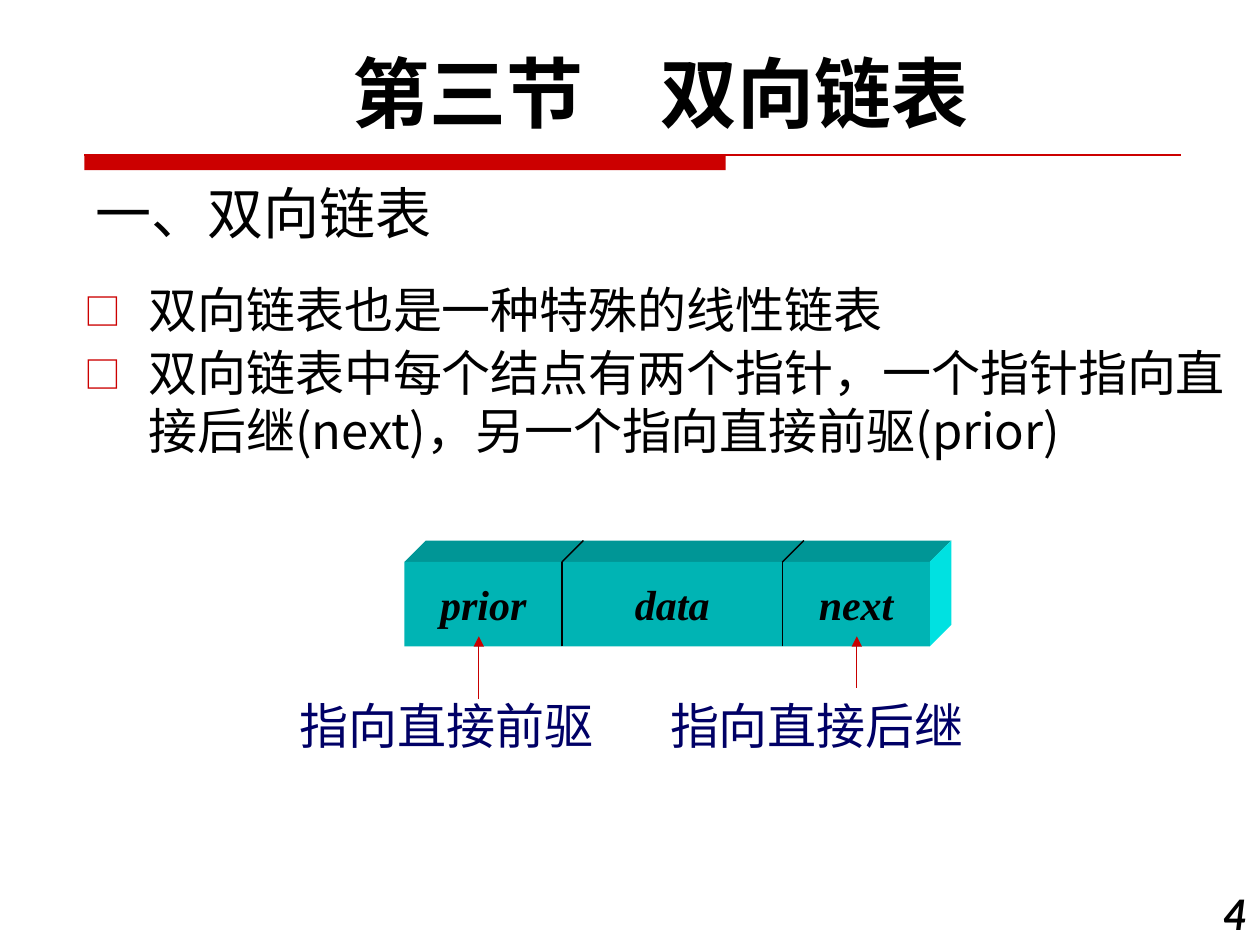
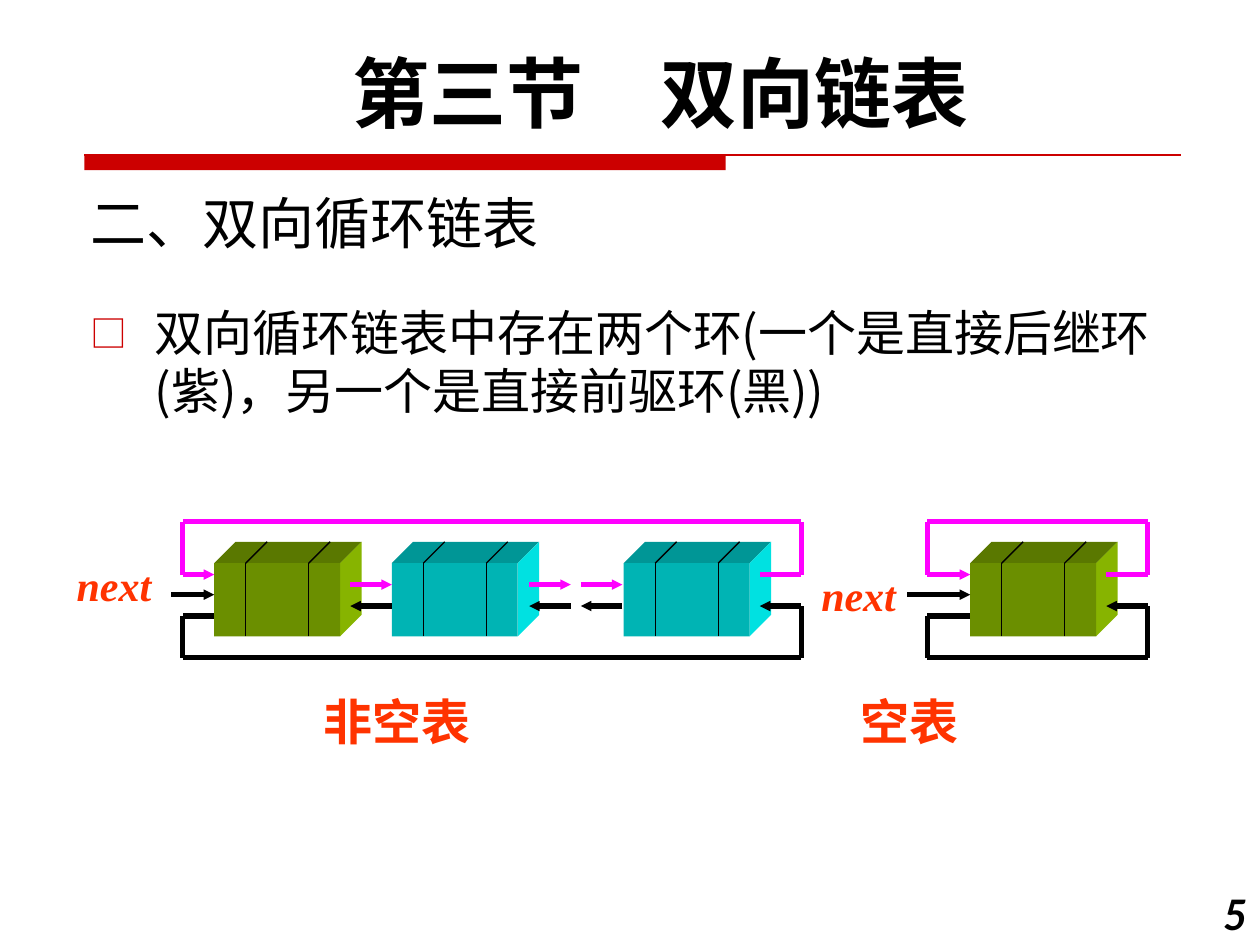
from itertools import pairwise

from pptx import Presentation
from pptx.dml.color import RGBColor
from pptx.enum.shapes import MSO_CONNECTOR as CONNECTOR, MSO_SHAPE as SHAPE
from pptx.enum.text import MSO_ANCHOR as ANCHOR, MSO_AUTO_SIZE as AUTO_SIZE, PP_ALIGN as ALIGN
from pptx.oxml.ns import qn
from pptx.util import Inches, Pt
from lxml.etree import SubElement

CHAPTER = "第三节　双向链表"
RED, BLACK, NAVY, ORANGE = "CC0000", "000000", "000066", "FF3300"
MAGENTA, ARROW_RED = "FF00FF", "C80000"
TEAL = {"front": "00B4B4", "top": "009696", "side": "00E1E1"}
GREEN = {"front": "6B8F00", "top": "5A7800", "side": "87B400"}
DEPTH = 0.17

SANS, SERIF, LATIN = "Noto Sans CJK SC", "Times New Roman", "Lato"
STYLES = {
    "chapter": {"name": LATIN, "size": 44, "bold": True, "color": BLACK},
    "section": {"name": SANS, "size": 32, "color": BLACK, "leading": 38},
    "body": {"name": SANS, "size": 28, "color": BLACK, "leading": 33},
    "page": {"name": LATIN, "size": 24, "bold": True, "italic": True, "color": BLACK},
    "field": {"name": SERIF, "size": 24, "bold": True, "italic": True, "color": BLACK},
    "pointer": {"name": SERIF, "size": 24, "bold": True, "italic": True, "color": ORANGE},
    "label": {"name": SANS, "size": 28, "color": NAVY, "leading": 33},
    "caption": {"name": SANS, "size": 28, "bold": True, "color": ORANGE, "leading": 33},
}

SLIDES = [
    {"section": "一、双向链表", "section_at": (0.66, 1.25, 6.25, 0.75),
     "body_at": (0.57, 2.18, 9.43, 1.6), "page": "4",
     "body": ["双向链表也是一种特殊的线性链表",
              "双向链表中每个结点有两个指针\uff0c一个指针指向直接后继(next)\uff0c"
              "另一个指向直接前驱(prior)"]},
    {"section": "二、双向循环链表", "section_at": (0.62, 1.33, 6.25, 0.75),
     "body_at": (0.62, 2.36, 9.38, 1.17), "page": "5",
     "body": ["双向循环链表中存在两个环(一个是直接后继环(紫)\uff0c另一个是直接前驱环(黑))"]},
]

FIELDS = [("prior", 1.25), ("data", 1.75), ("next", 1.17)]
POINTERS = [("指向直接前驱", 2.28, 3.8, 5.55), ("指向直接后继", 5.22, 6.8, 5.46)]
LISTS = [
    {"caption": "非空表", "caption_left": 2.47, "pointer_at": (0.51, 4.39), "entry": 1.36,
     "ring": (1.45, 6.36), "nodes": [(1.7, GREEN), (3.11, TEAL), (4.95, TEAL)],
     "links": [2.78, 4.2, 4.61]},
    {"caption": "空表", "caption_left": 6.73, "pointer_at": (6.42, 4.47), "entry": 7.2,
     "ring": (7.36, 9.11), "nodes": [(7.7, GREEN)], "links": []},
]


def rgb(value):
    return RGBColor.from_string(value)


def write(frame, lines, style, align=ALIGN.LEFT, bullets=False, wrap=True, anchor=ANCHOR.TOP):
    frame.word_wrap = wrap
    frame.auto_size = AUTO_SIZE.NONE
    frame.vertical_anchor = anchor
    values = STYLES[style]
    for index, line in enumerate(lines):
        paragraph = frame.paragraphs[0] if index == 0 else frame.add_paragraph()
        paragraph.alignment = align
        if "leading" in values:
            paragraph.line_spacing = Pt(values["leading"])
        if bullets:
            paragraph.space_before = Pt(3)
            add_bullet(paragraph)
        run = paragraph.add_run()
        run.text = line
        for key in ("name", "bold", "italic"):
            setattr(run.font, key, values.get(key, False))
        run.font.size = Pt(values["size"])
        run.font.color.rgb = rgb(values["color"])
        SubElement(run.font._element, qn("a:ea"), typeface=values["name"])


def add_bullet(paragraph):
    properties = paragraph._p.get_or_add_pPr()
    properties.set("marL", str(Inches(0.51)))
    properties.set("indent", str(-Inches(0.51)))
    color = SubElement(properties, qn("a:buClr"))
    SubElement(color, qn("a:srgbClr"), val=RED)
    SubElement(properties, qn("a:buSzPct"), val="75000")
    SubElement(properties, qn("a:buFont"), typeface=SANS)
    SubElement(properties, qn("a:buChar"), char="□")


def add_text(slide, box, lines, style, **options):
    shape = slide.shapes.add_textbox(*map(Inches, box))
    write(shape.text_frame, lines, style, **options)


def paint(shape, color):
    shape.shadow.inherit = False
    shape.fill.solid()
    shape.fill.fore_color.rgb = rgb(color)
    shape.line.fill.background()


def add_rectangle(slide, box, color):
    paint(slide.shapes.add_shape(SHAPE.RECTANGLE, *map(Inches, box)), color)


def add_polygon(slide, points, color):
    corners = [(Inches(x), Inches(y)) for x, y in points]
    builder = slide.shapes.build_freeform(*corners[0])
    builder.add_line_segments(corners[1:], close=True)
    paint(builder.convert_to_shape(), color)


def add_route(slide, points, color=BLACK, width=0.75, arrow=None):
    for start, end in pairwise(points):
        line = slide.shapes.add_connector(CONNECTOR.STRAIGHT, *map(Inches, start + end))
        line.line.color.rgb = rgb(color)
        line.line.width = Pt(width)
        if arrow and end == points[-1]:
            SubElement(line.line._get_or_add_ln(), qn("a:tailEnd"),
                       type="triangle", w=arrow, len=arrow)
        SubElement(line._element.spPr, qn("a:effectLst"))


def add_block(slide, left, top, width, height, dividers, colors):
    right, bottom = left + width, top + height
    back_top, back_right = top - DEPTH, right + DEPTH
    add_polygon(slide, [(left, top), (left + DEPTH, back_top), (back_right, back_top),
                        (right, top)], colors["top"])
    add_polygon(slide, [(right, top), (back_right, back_top), (back_right, bottom - DEPTH),
                        (right, bottom)], colors["side"])
    add_rectangle(slide, (left, top, width, height), colors["front"])
    for x in dividers:
        add_route(slide, [(x, bottom), (x, top), (x + DEPTH, back_top)])


def add_base(presentation, content):
    slide = presentation.slides.add_slide(presentation.slide_layouts[5])
    add_rectangle(slide, (0.67, 1.23, 5.09, 0.12), RED)
    add_route(slide, [(0.67, 1.23), (9.37, 1.23)], RED)
    title = slide.shapes.title
    title.left, title.top, title.width, title.height = map(Inches, content["section_at"])
    write(title.text_frame, [content["section"]], "section", anchor=ANCHOR.BOTTOM)
    add_text(slide, (0.62, 0.31, 9.25, 0.84), [CHAPTER], "chapter", align=ALIGN.CENTER)
    add_text(slide, content["body_at"], content["body"], "body", bullets=True)
    add_text(slide, (9.33, 7, 0.67, 0.5), [content["page"]], "page", align=ALIGN.RIGHT)
    return slide


def draw_node_structure(slide):
    left, top, height = 3.21, 4.46, 0.67
    edges = [left]
    for name, width in FIELDS:
        edges.append(edges[-1] + width)
    add_block(slide, left, top, edges[-1] - left, height, edges[1:-1], TEAL)
    for (name, width), x in zip(FIELDS, edges):
        add_text(slide, (x, top, width, height), [name], "field",
                 align=ALIGN.CENTER, anchor=ANCHOR.MIDDLE)
    for label, label_left, x, start in POINTERS:
        add_text(slide, (label_left, 5.48, 2.6, 0.57), [label], "label", wrap=False)
        add_route(slide, [(x, start), (x, 5.05)], ARROW_RED, arrow="med")


def draw_circular_list(slide, content):
    for x, colors in content["nodes"]:
        add_block(slide, x, 4.47, 1, 0.58, [x + 0.25, x + 0.75], colors)
    first = content["nodes"][0][0]
    last = content["nodes"][-1][0] + 1.08
    left, right = content["ring"]
    routes = [
        ([(content["entry"], 4.72), (first, 4.72)], BLACK),
        ([(last, 4.56), (right, 4.56), (right, 4.14), (left, 4.14), (left, 4.56),
          (first, 4.56)], MAGENTA),
        ([(first, 4.89), (left, 4.89), (left, 5.22), (right, 5.22), (right, 4.81),
          (last, 4.81)], BLACK),
    ]
    for x in content["links"]:
        routes.append(([(x, 4.64), (x + 0.33, 4.64)], MAGENTA))
        routes.append(([(x + 0.33, 4.81), (x, 4.81)], BLACK))
    for points, color in routes:
        add_route(slide, points, color, width=3, arrow="sm")
    add_text(slide, content["pointer_at"] + (0.8, 0.51), ["next"], "pointer", wrap=False)
    add_text(slide, (content["caption_left"], 5.45, 1.5, 0.6), [content["caption"]],
             "caption", wrap=False)


presentation = Presentation()
presentation.slide_width, presentation.slide_height = Inches(10), Inches(7.5)
structure_slide, circular_slide = [add_base(presentation, content) for content in SLIDES]
draw_node_structure(structure_slide)
for content in LISTS:
    draw_circular_list(circular_slide, content)
presentation.save("out.pptx")
